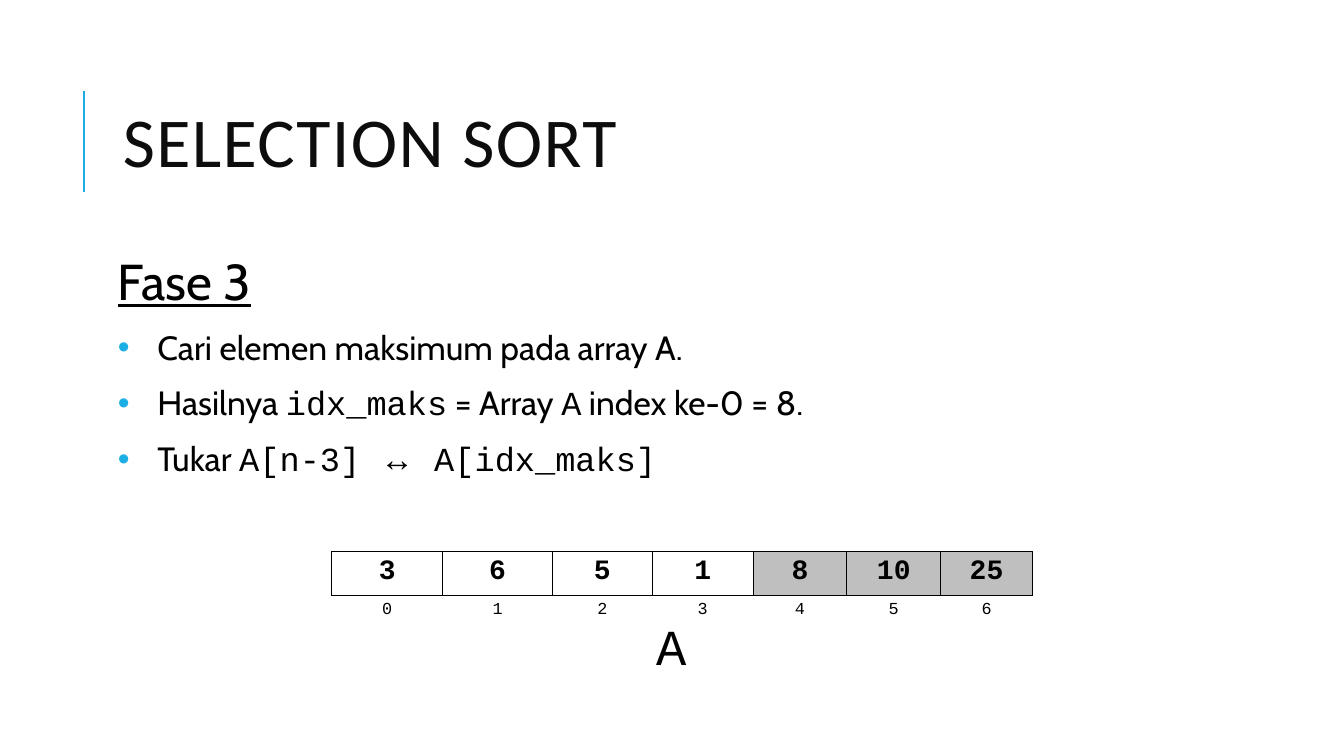
from lxml import etree
from pptx import Presentation
from pptx import util as u
from pptx.dml.color import RGBColor
from pptx.enum import shapes, text
from pptx.oxml import ns

BLACK = RGBColor(0x00, 0x00, 0x00)
TITLE_INK = RGBColor(0x0D, 0x0D, 0x0D)
ACCENT = RGBColor(0x1C, 0xAD, 0xE4)
SORTED_GREY = RGBColor(0xBF, 0xBF, 0xBF)

BODY, CODE, SYMBOL = "Cabin", "Courier New", "Times New Roman"
MIDDLE = text.MSO_ANCHOR.MIDDLE

BULLETS = [
    [("Cari elemen maksimum pada array A.", BODY)],
    [("Hasilnya ", BODY), ("idx_maks", CODE), (" = Array ", BODY),
     ("A", CODE), (" index ke-0 = 8.", BODY)],
    [("Tukar ", BODY), ("A[n-3] ", CODE), ("↔", SYMBOL), (" A[idx_maks]", CODE)],
]
ARRAY_VALUES = [3, 6, 5, 1, 8, 10, 25]
COLUMN_WIDTHS = [110, 109, 99, 100, 93, 93, 91]
SORTED_FROM = 4


def px(length):
    """Turn px, 100 to the inch, into EMU."""
    return u.Emu(length * 9144)


def apply(target, values):
    for name, value in values.items():
        setattr(target, name, value)


def add_element(parent, tag, **attributes):
    return etree.SubElement(parent, ns.qn(tag), attributes)


class SlideBuilder:
    def __init__(self, slide):
        self.slide = slide
        self.bullet_indent = px(39)
        self.spacing = {"line_spacing": 0.9, "space_after": u.Pt(2)}

    def line(self, start, end, color, width):
        connector = self.slide.shapes.add_connector(
            shapes.MSO_CONNECTOR.STRAIGHT, *map(px, start + end))
        connector.line.color.rgb = color
        connector.line.width = u.Pt(width)
        add_element(connector._element.spPr, "a:effectLst")

    def text_box(self, left, top, width, height, **frame_format):
        box = self.slide.shapes.add_textbox(*map(px, (left, top, width, height)))
        apply(box.text_frame, {"word_wrap": True, **frame_format})
        return box.text_frame

    def run(self, paragraph, wording, font, size, color=BLACK, **font_format):
        run = paragraph.add_run()
        run.text = wording
        run.font.color.rgb = color
        apply(run.font, {"name": font, "size": u.Pt(size), **font_format})
        return run

    def bullet(self, frame, runs):
        paragraph = frame.add_paragraph()
        properties = paragraph._p.get_or_add_pPr()
        properties.set("marL", str(self.bullet_indent))
        properties.set("indent", str(-self.bullet_indent))
        bullet_color = add_element(properties, "a:buClr")
        add_element(bullet_color, "a:srgbClr", val=str(ACCENT))
        add_element(properties, "a:buFont", typeface="Arial")
        add_element(properties, "a:buChar", char="•")
        apply(paragraph, {**self.spacing, "space_before": u.Pt(12)})
        for wording, font in runs:
            self.run(paragraph, wording, font, 24)

    def cell_borders(self, cell, sides):
        """Draw the named sides (letters of LRTB) and clear the others."""
        properties = cell._tc.get_or_add_tcPr()
        for side in "LRTB":
            border = add_element(properties, f"a:ln{side}", w=str(u.Pt(1)))
            if side in sides:
                fill = add_element(border, "a:solidFill")
                add_element(fill, "a:srgbClr", val=str(BLACK))
            else:
                add_element(border, "a:noFill")

    def cell(self, cell, wording, size, bold, sides, fill=None):
        self.cell_borders(cell, sides)
        if fill is None:
            cell.fill.background()
        else:
            cell.fill.solid()
            cell.fill.fore_color.rgb = fill
        paragraph = cell.text_frame.paragraphs[0]
        paragraph.alignment = text.PP_ALIGN.CENTER
        self.run(paragraph, wording, CODE, size, bold=bold)

    def array_table(self, left, top, row_height):
        """Show the array values over their indexes, the sorted part shaded."""
        frame = self.slide.shapes.add_table(
            2, len(ARRAY_VALUES), px(left), px(top),
            px(sum(COLUMN_WIDTHS)), px(2 * row_height))
        table = frame.table
        apply(table, {"first_row": False, "horz_banding": False})
        for row in table.rows:
            row.height = px(row_height)
        for index, (value, width) in enumerate(zip(ARRAY_VALUES, COLUMN_WIDTHS)):
            table.columns[index].width = px(width)
            fill = SORTED_GREY if index >= SORTED_FROM else None
            self.cell(table.cell(0, index), str(value), 20, True, "LRTB", fill)
            self.cell(table.cell(1, index), str(index), 12, False, "T")


def main():
    presentation = Presentation()
    apply(presentation, {"slide_width": px(1333), "slide_height": px(750)})
    slide = presentation.slides.add_slide(presentation.slide_layouts[6])
    builder = SlideBuilder(slide)

    builder.line((83, 190), (83, 90), ACCENT, 1.5)

    title = builder.text_box(112, 64, 1063, 164, vertical_anchor=MIDDLE).paragraphs[0]
    title.line_spacing = 0.8
    run = builder.run(title, "SELECTION SORT", "Calibri", 50, TITLE_INK)
    run.font._element.set("spc", "100")

    margins = {f"margin_{side}": px(5) for side in ("left", "right", "top", "bottom")}
    body = builder.text_box(112, 250, 1063, 275, **margins)
    heading = body.paragraphs[0]
    apply(heading, builder.spacing)
    builder.run(heading, "Fase 3", BODY, 36, underline=True)
    for runs in BULLETS:
        builder.bullet(body, runs)

    builder.array_table(329, 547, 42)
    array_name = builder.text_box(641, 605, 51, 71, word_wrap=False,
                                  auto_size=text.MSO_AUTO_SIZE.SHAPE_TO_FIT_TEXT)
    builder.run(array_name.paragraphs[0], "A", CODE, 36)

    presentation.save("out.pptx")


if __name__ == "__main__":
    main()
